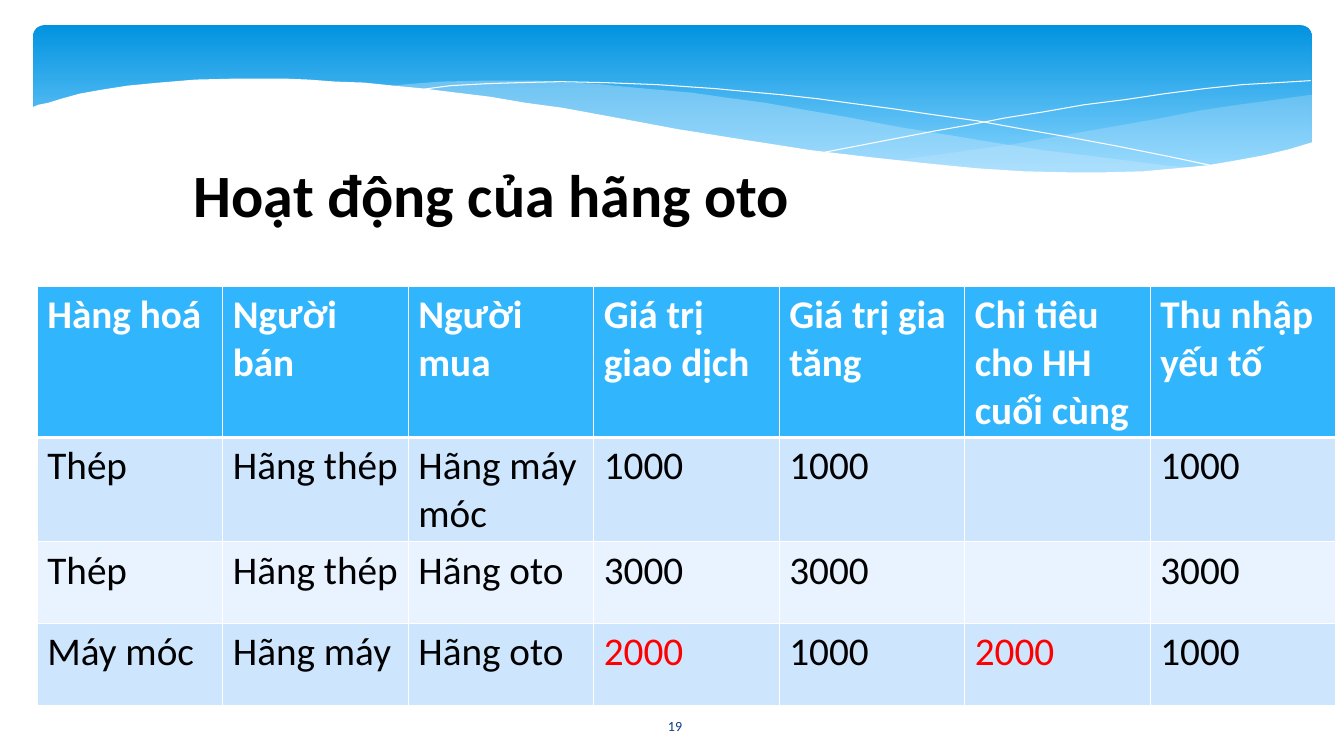
from lxml import etree
from pptx import Presentation
from pptx import util as u
from pptx.dml.color import RGBColor
from pptx.enum import shapes, text
from pptx.oxml.ns import qn

COLORS = {
    "white": "FFFFFF", "black": "000000", "red": "FF0000", "navy": "073E87",
    "banner_top": "0293E0", "banner_bottom": "83D3FE", "haze": "C6E7FC",
    "header": "31B6FD", "band_dark": "CEE5FE", "band_light": "E8F3FF",
}

# Wave outlines, in hundredths of an inch
RIGHT_WAVE = [
    (1300, 94), (1265, 99), (1227, 104), (1188, 110), (1147, 118), (1073, 131),
    (1005, 143), (941, 152), (882, 160), (921, 164), (958, 167), (993, 169),
    (1025, 171), (1056, 172), (1099, 172), (1138, 170), (1174, 167), (1207, 163),
    (1238, 158), (1266, 152), (1284, 147), (1301, 142), (1301, 94),
]
MIDDLE_WAVE = [
    (1190, 167), (1154, 164), (1116, 159), (1076, 154), (1034, 149), (989, 142),
    (941, 134), (891, 126), (839, 116), (798, 109), (759, 102), (721, 97),
    (686, 92), (652, 89), (619, 86), (589, 83), (560, 82), (532, 80), (482, 80),
    (437, 81), (399, 84), (382, 86), (431, 90), (483, 97), (539, 106), (599, 116),
    (654, 126), (706, 135), (755, 143), (802, 150), (846, 156), (887, 161),
    (926, 165), (963, 168), (998, 170), (1030, 172), (1061, 173), (1104, 173),
    (1143, 171), (1167, 169),
]
FALLING_LINE = [
    (412, 90), (424, 88), (447, 85), (484, 83), (516, 82), (555, 81), (600, 82),
    (652, 84), (710, 88), (742, 91), (775, 94), (811, 98), (848, 103), (886, 108),
    (927, 114), (970, 120), (1014, 128), (1060, 136), (1108, 145), (1158, 155),
    (1210, 166),
]
RISING_LINE = [
    (818, 151), (870, 141), (927, 130), (961, 124), (997, 117), (1035, 111),
    (1075, 104), (1115, 99), (1155, 93), (1194, 88), (1232, 84), (1267, 82),
    (1300, 80),
]
WHITE_WAVE = [
    (1302, 141), (1279, 148), (1254, 154), (1227, 159), (1198, 164), (1167, 167),
    (1134, 170), (1097, 171), (1058, 171), (1015, 170), (969, 167), (918, 162),
    (863, 156), (804, 149), (740, 139), (671, 128), (634, 121), (596, 114),
    (558, 107), (521, 102), (486, 96), (453, 92), (421, 88), (390, 85), (361, 82),
    (333, 81), (306, 79), (282, 78), (235, 78), (194, 79), (158, 82), (127, 85),
    (101, 89), (79, 93), (61, 98), (48, 102), (38, 104), (31, 107), (31, 224),
    (1303, 224), (1303, 140),
]

TRADES = [
    ["Hàng hoá", "Người bán", "Người mua", "Giá trị giao dịch",
     "Giá trị gia tăng", "Chi tiêu cho HH cuối cùng", "Thu nhập yếu tố"],
    ["Thép", "Hãng thép", "Hãng máy móc", "1000", "1000", "", "1000"],
    ["Thép", "Hãng thép", "Hãng oto", "3000", "3000", "", "3000"],
    ["Máy móc", "Hãng máy", "Hãng oto", "2000", "1000", "2000", "1000"],
]


def rgb(name):
    return RGBColor.from_string(COLORS[name])


class SlideBuilder:
    font = "Calibri"

    def __init__(self, slide):
        self.slide = slide

    def add_words(self, paragraph, words, size, color, bold=False):
        run = paragraph.add_run()
        run.text = words
        run.font.name = self.font
        run.font.size = u.Pt(size)
        run.font.bold = bold
        run.font.color.rgb = rgb(color)

    def banner(self, left, top, width, height):
        shape = self.slide.shapes.add_shape(
            shapes.MSO_SHAPE.ROUNDED_RECTANGLE,
            *map(u.Inches, (left, top, width, height)))
        shape.adjustments[0] = 0.07
        shape.shadow.inherit = False
        shape.line.fill.background()
        shape.fill.gradient()
        shape.fill.gradient_angle = 270
        stops = (("banner_top", 0), ("banner_bottom", 0.9))
        for stop, (color, position) in zip(shape.fill.gradient_stops, stops):
            stop.color.rgb = rgb(color)
            stop.position = position

    def outline(self, points, closed):
        builder = self.slide.shapes.build_freeform(*points[0], scale=u.Inches(0.01))
        builder.add_line_segments(points[1:], close=closed)
        shape = builder.convert_to_shape()
        shape.shadow.inherit = False
        return shape

    def wave(self, points, color, opacity=100):
        shape = self.outline(points, closed=True)
        shape.line.fill.background()
        shape.fill.solid()
        shape.fill.fore_color.rgb = rgb(color)
        if opacity < 100:
            tint = shape._element.spPr.find(qn("a:solidFill")).find(qn("a:srgbClr"))
            etree.SubElement(tint, qn("a:alpha"), val=str(opacity * 1000))

    def curve(self, points, color):
        shape = self.outline(points, closed=False)
        shape.fill.background()
        shape.line.color.rgb = rgb(color)
        shape.line.width = u.Pt(0)

    def label(self, words, left, top, width, height, size, color, bold=False,
              anchor=text.MSO_ANCHOR.TOP):
        box = self.slide.shapes.add_textbox(
            *map(u.Inches, (left, top, width, height)))
        frame = box.text_frame
        frame.word_wrap = True
        frame.vertical_anchor = anchor
        paragraph = frame.paragraphs[0]
        paragraph.alignment = text.PP_ALIGN.CENTER
        self.add_words(paragraph, words, size, color, bold)

    def border(self, cell, side, points):
        line = etree.SubElement(cell._tc.get_or_add_tcPr(), qn("a:ln" + side),
                                w=str(u.Pt(points)))
        fill = etree.SubElement(line, qn("a:solidFill"))
        etree.SubElement(fill, qn("a:srgbClr"), val=COLORS["white"])

    def table(self, rows, left, top, column_width, row_height):
        width, height = column_width * len(rows[0]), row_height * len(rows)
        table = self.slide.shapes.add_table(
            len(rows), len(rows[0]),
            *map(u.Inches, (left, top, width, height))).table
        for column in table.columns:
            column.width = u.Inches(column_width)
        for r, row in enumerate(rows):
            table.rows[r].height = u.Inches(row_height)
            header = r == 0
            band = "header" if header else ("band_light", "band_dark")[r % 2]
            for c, words in enumerate(row):
                cell = table.cell(r, c)
                # Borders come before the fill in the cell's XML
                for side, points in (("L", 1), ("R", 1), ("T", 3 if r == 1 else 1),
                                     ("B", 3 if header else 1)):
                    self.border(cell, side, points)
                cell.fill.solid()
                cell.fill.fore_color.rgb = rgb(band)
                if words:
                    color = ("white" if header else
                             "red" if words == "2000" else "black")
                    self.add_words(cell.text_frame.paragraphs[0], words, 28, color,
                                   header)


def main():
    presentation = Presentation()
    presentation.slide_width = u.Inches(13.33)
    presentation.slide_height = u.Inches(7.5)
    builder = SlideBuilder(presentation.slides.add_slide(presentation.slide_layouts[6]))

    # Banner with waves
    builder.banner(0.33, 0.25, 12.68, 1.56)
    builder.wave(RIGHT_WAVE, "haze", 29)
    builder.wave(MIDDLE_WAVE, "haze", 40)
    builder.curve(FALLING_LINE, "white")
    builder.curve(RISING_LINE, "white")
    builder.wave(WHITE_WAVE, "white")

    # Page number, table and title
    builder.label("19", 5.85, 7, 1.69, 0.4, 10, "navy",
                  anchor=text.MSO_ANCHOR.MIDDLE)
    builder.table(TRADES, 0.37, 2.84, 1.84, 0.81)
    builder.label("Hoạt động của hãng oto", 0.08, 1.51, 9.59, 1.37, 42.9, "black",
                  bold=True)

    presentation.save("out.pptx")


if __name__ == "__main__":
    main()
